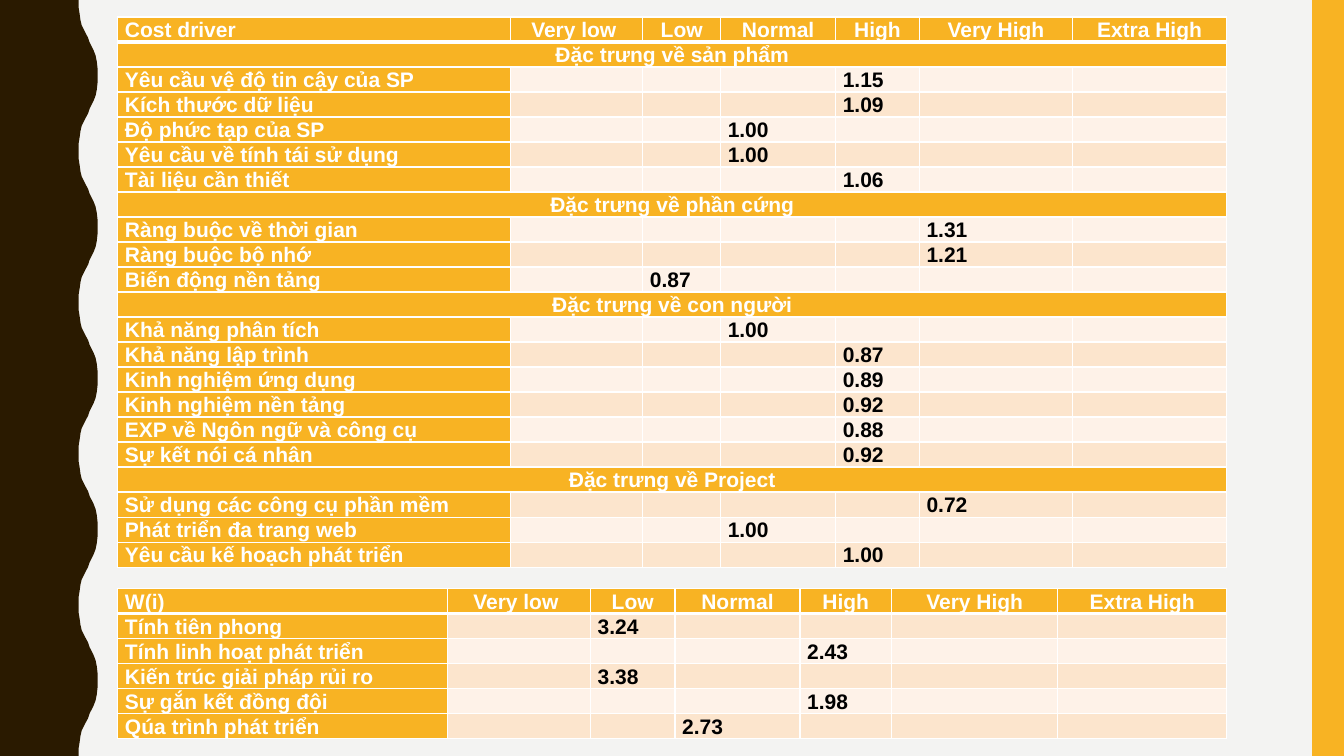
import pptx
import pptx.util
from lxml import etree
from pptx.dml.color import RGBColor
from pptx.enum.shapes import MSO_SHAPE
from pptx.enum.text import PP_ALIGN
from pptx.oxml.ns import qn
from pptx.util import Cm

LEVELS = ["Very low ", "Low", "Normal", "High", "Very High", "Extra High"]
LOW, NORMAL, HIGH, VERY_HIGH = 2, 3, 4, 5

COST_DRIVERS = [
    ("Đặc trưng về sản phẩm",),
    ("Yêu cầu vệ độ tin cậy của SP", HIGH, "1.15"),
    ("Kích thước dữ liệu", HIGH, "1.09"),
    ("Độ phức tạp của SP", NORMAL, "1.00"),
    ("Yêu cầu về tính tái sử dụng", NORMAL, "1.00"),
    ("Tài liệu cần thiết", HIGH, "1.06"),
    ("Đặc trưng về phần cứng",),
    ("Ràng buộc về thời gian", VERY_HIGH, "1.31"),
    ("Ràng buộc bộ nhớ", VERY_HIGH, "1.21"),
    ("Biến động nền tảng", LOW, "0.87"),
    ("Đặc trưng về con người",),
    ("Khả năng phân tích", NORMAL, "1.00"),
    ("Khả năng lập trình", HIGH, "0.87"),
    ("Kinh nghiệm ứng dụng", HIGH, "0.89"),
    ("Kinh nghiệm nền tảng", HIGH, "0.92"),
    ("EXP về Ngôn ngữ và công cụ", HIGH, "0.88"),
    ("Sự kết nói cá nhân", HIGH, "0.92"),
    ("Đặc trưng về Project",),
    ("Sử dụng các công cụ phần mềm", VERY_HIGH, "0.72"),
    ("Phát triển đa trang web", NORMAL, "1.00"),
    ("Yêu cầu kế hoạch phát triển", HIGH, "1.00"),
]
SCALE_FACTORS = [
    ("Tính tiên phong", LOW, "3.24"),
    ("Tính linh hoạt phát triển", HIGH, "2.43"),
    ("Kiến trúc giải pháp rủi ro", LOW, "3.38"),
    ("Sự gắn kết đồng đội", HIGH, "1.98"),
    ("Qúa trình phát triển", NORMAL, "2.73"),
]
TABLES = [
    ("Cost driver", COST_DRIVERS, 0.43, [9.9, 3.33, 1.96, 2.9, 2.11, 3.86, 3.88]),
    ("W(i)", SCALE_FACTORS, 14.83, [8.3, 3.61, 2.13, 3.15, 2.31, 4.19, 4.25]),
]
TABLE_LEFT, ROW_HEIGHT = 2.97, 0.63
WIDTH, HEIGHT, BAR_WIDTH = 33.87, 19.05, 0.8
WAVES = 5
HALF_WAVE = [
    (1.98, 0), (1.98, 0.18), (2.01, 0.36), (2.03, 0.51), (2.06, 0.64),
    (2.11, 0.74), (2.16, 0.84), (2.22, 0.95), (2.26, 1.07), (2.31, 1.17),
    (2.36, 1.27), (2.41, 1.4), (2.44, 1.55), (2.46, 1.73), (2.46, 1.9),
]
GOLD, BROWN, PAPER, WHITE, BLACK = "F8B323", "2A1A00", "F3F3F2", "FFFFFF", "000000"
BANDS = ["FEF2E8", "FCE5CD"]


def paint(fill, color):
    fill.solid()
    fill.fore_color.rgb = RGBColor.from_string(color)


def decorate(sp, color):
    sp.shadow.inherit = False
    sp.line.fill.background()
    paint(sp.fill, color)


def add_border(cell, side, points):
    tcPr = cell._tc.get_or_add_tcPr()
    ln = etree.SubElement(tcPr, qn("a:" + side), w=str(pptx.util.Pt(points)))
    fill = etree.SubElement(ln, qn("a:solidFill"))
    etree.SubElement(fill, qn("a:srgbClr"), val=WHITE)


def format_cell(cell, text, row, fill, color, centred):
    cell.margin_left = cell.margin_right = Cm(0.18)
    cell.margin_top = cell.margin_bottom = 0
    add_border(cell, "lnL", 1)
    add_border(cell, "lnR", 1)
    add_border(cell, "lnT", 3 if row == 1 else 1)
    add_border(cell, "lnB", 3 if row == 0 else 1)
    paint(cell.fill, fill)
    p = cell.text_frame.paragraphs[0]
    if text:
        p.add_run().text = text
    else:
        p._p.get_or_add_endParaRPr().set("sz", "1500")
    p.line_spacing = 1.07
    p.alignment = PP_ALIGN.CENTER if centred else PP_ALIGN.LEFT
    p.font.name = "Arial"
    p.font.size = pptx.util.Pt(15)
    p.font.bold = True
    p.font.color.rgb = RGBColor.from_string(color)


def add_ratings(s, heading, ratings, top, widths):
    rows, cols = len(ratings) + 1, len(widths)
    table = s.shapes.add_table(rows, cols, Cm(TABLE_LEFT), Cm(top),
                               Cm(sum(widths)), Cm(ROW_HEIGHT * rows)).table
    tblPr = table._tbl.tblPr
    tblPr.remove(tblPr.find(qn("a:tableStyleId")))
    for column, width in zip(table.columns, widths):
        column.width = Cm(width)
    for row in table.rows:
        row.height = Cm(ROW_HEIGHT)
    for c, text in enumerate([heading] + LEVELS):
        format_cell(table.cell(0, c), text, 0, GOLD, WHITE, c > 0)
    for r, (label, *rating) in enumerate(ratings, 1):
        texts = [label] + [""] * len(LEVELS)
        if rating:
            level, value = rating
            texts[level] = value
        else:
            table.cell(r, 0).merge(table.cell(r, cols - 1))
        for c, text in enumerate(texts):
            gold = c == 0 or not rating
            format_cell(table.cell(r, c), text, r, GOLD if gold else BANDS[r % 2],
                        WHITE if gold else BLACK, not rating)


def add_wave(s):
    period = HEIGHT / WAVES
    points = []
    for k in range(WAVES):
        points += [(x, k * period + y) for x, y in HALF_WAVE]
        points += [(x, (k + 1) * period - y) for x, y in reversed(HALF_WAVE)]
    points.append((0, HEIGHT))
    builder = s.shapes.build_freeform(0, 0)
    builder.add_line_segments([(Cm(x), Cm(y)) for x, y in points], close=True)
    decorate(builder.convert_to_shape(), BROWN)


def main():
    prs = pptx.Presentation()
    prs.slide_width, prs.slide_height = Cm(WIDTH), Cm(HEIGHT)
    s = prs.slides.add_slide(prs.slide_layouts[6])
    paint(s.background.fill, PAPER)
    add_wave(s)
    bar = s.shapes.add_shape(MSO_SHAPE.RECTANGLE, Cm(WIDTH - BAR_WIDTH), 0,
                             Cm(BAR_WIDTH), Cm(HEIGHT))
    decorate(bar, GOLD)
    for heading, ratings, top, widths in TABLES:
        add_ratings(s, heading, ratings, top, widths)
    prs.save("out.pptx")


if __name__ == "__main__":
    main()
